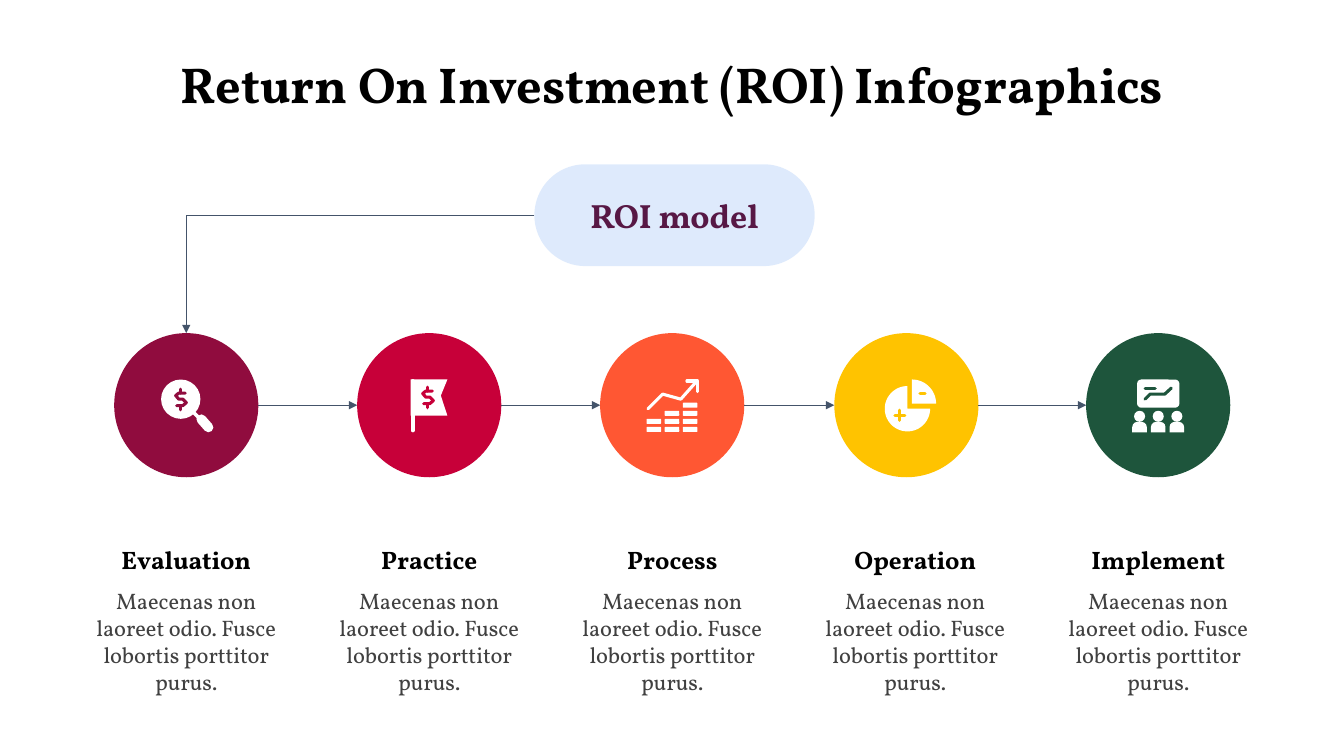
from itertools import pairwise
from math import cos, radians, sin

from lxml.etree import SubElement
from pptx import Presentation
from pptx.dml.color import RGBColor
from pptx.enum.shapes import MSO_CONNECTOR, MSO_SHAPE
from pptx.enum.text import MSO_ANCHOR, PP_ALIGN
from pptx.oxml.ns import qn
from pptx.util import Inches, Pt

BLACK = RGBColor(0x00, 0x00, 0x00)
GREY = RGBColor(0x40, 0x40, 0x40)
WHITE = RGBColor(0xFF, 0xFF, 0xFF)
SLATE = RGBColor(0x44, 0x54, 0x6A)
BLUE = RGBColor(0x03, 0x63, 0xEB)
PLUM = RGBColor(0x57, 0x18, 0x45)
MAROON = RGBColor(0x90, 0x0C, 0x3E)
CRIMSON = RGBColor(0xC7, 0x00, 0x39)
ORANGE = RGBColor(0xFF, 0x57, 0x33)
YELLOW = RGBColor(0xFF, 0xC3, 0x00)
GREEN = RGBColor(0x1E, 0x55, 0x3C)

COLUMNS, ROWS = 1333, 750
DESCRIPTION = "Maecenas non laoreet odio. Fusce lobortis porttitor purus."
CENTRE_ROW, DIAMETER = 402, 143
FIRST_LABEL, LABEL_STEP, LABEL_WIDTH = 85, 241, 199.5
ICON_STROKE = 2.2


class Canvas:
    """Draws on one slide in grid columns and rows, measured from a movable origin."""

    font_name = "Vollkorn"

    def __init__(self, presentation):
        self.slide = presentation.slides.add_slide(presentation.slide_layouts[6])
        self.shapes = self.slide.shapes
        self.column = presentation.slide_width / COLUMNS
        self.row = presentation.slide_height / ROWS
        self.origin = (0, 0)

    def point(self, column, row):
        left, top = self.origin
        return round((left + column) * self.column), round((top + row) * self.row)

    def box(self, left, top, width, height):
        return *self.point(left, top), round(width * self.column), round(height * self.row)

    def text(self, words, box, size, color, bold=False, anchor=MSO_ANCHOR.MIDDLE, inset=0.1):
        frame = self.shapes.add_textbox(*self.box(*box)).text_frame
        frame.word_wrap = True
        frame.vertical_anchor = anchor
        frame.margin_top = frame.margin_bottom = Inches(inset)
        paragraph = frame.paragraphs[0]
        paragraph.text = words
        paragraph.alignment = PP_ALIGN.CENTER
        paragraph.font.name = self.font_name
        paragraph.font.size = Pt(size)
        paragraph.font.bold = bold
        paragraph.font.color.rgb = color

    def fill(self, shape, color):
        shape.shadow.inherit = False
        shape.fill.solid()
        shape.fill.fore_color.rgb = color
        shape.line.fill.background()
        return shape

    def preset(self, kind, box, color, roundness=None):
        shape = self.fill(self.shapes.add_shape(kind, *self.box(*box)), color)
        if roundness is not None:
            shape.adjustments[0] = roundness
        return shape

    def disc(self, column, row, diameter, color):
        box = (column - diameter / 2, row - diameter / 2, diameter, diameter)
        return self.preset(MSO_SHAPE.OVAL, box, color)

    def outline(self, points, closed):
        start, *others = [self.point(*point) for point in points]
        builder = self.shapes.build_freeform(*start)
        builder.add_line_segments(others, close=closed)
        return builder.convert_to_shape()

    def polygon(self, points, color):
        return self.fill(self.outline(points, True), color)

    def sector(self, column, row, radius, start, end, color):
        arc = [(column + radius * cos(radians(angle)), row + radius * sin(radians(angle)))
               for angle in range(start, end + 1, 6)]
        self.polygon([(column, row), *arc], color)

    def polyline(self, points, color, width=ICON_STROKE):
        shape = self.outline(points, False)
        shape.shadow.inherit = False
        shape.fill.background()
        shape.line.color.rgb = color
        shape.line.width = Pt(width)
        shape.line._get_or_add_ln().set("cap", "rnd")

    def line(self, begin, end, color, width=ICON_STROKE, kind=MSO_CONNECTOR.STRAIGHT):
        connector = self.shapes.add_connector(kind, *self.point(*begin), *self.point(*end))
        connector.line.color.rgb = color
        connector.line.width = Pt(width)
        connector.line._get_or_add_ln().set("cap", "rnd")
        SubElement(connector._element.spPr, qn("a:effectLst"))
        return connector

    def arrow(self, begin, end, kind=MSO_CONNECTOR.STRAIGHT):
        connector = self.line(begin, end, SLATE, 0.75, kind)
        line = connector.line._get_or_add_ln()
        line.set("cap", "flat")
        SubElement(line, qn("a:tailEnd"), type="triangle")
        return connector

    def dollar(self, column, row, color):
        curve = [(4.5, -6), (-2, -6), (-5, -3.5), (-2, 0), (2, 0), (5.5, 3.5), (2, 6.5), (-4, 6.5)]
        self.polyline([(column + x, row + y) for x, y in curve], color)
        for top, bottom in ((-10, -6), (6.5, 10.5)):
            self.line((column, row + top), (column, row + bottom), color)


def magnifier(canvas, color):
    canvas.line((6, 6), (14, 14), WHITE, 2.5)
    canvas.line((15, 14), (22, 22), WHITE, 7)
    canvas.disc(-5.5, -6, 39, WHITE)
    canvas.dollar(-5.5, -6, color)


def flag(canvas, color):
    canvas.line((-16.5, -24), (-16.5, 25), WHITE, 2.8)
    canvas.polygon([(-18.5, -25.5), (18, -25.5), (11.5, -9.5), (18, 10.5), (-18.5, 10.5)], WHITE)
    canvas.dollar(-1.5, -8, color)


def growth(canvas, color):
    for stack, height in enumerate((2, 3, 4)):
        for level in range(height):
            box = (-25.5 + 18 * stack, 21.5 - 8 * level, 14.5, 5)
            canvas.preset(MSO_SHAPE.ROUNDED_RECTANGLE, box, WHITE, 0.15)
    canvas.polyline([(-24, 3.5), (-9.5, -11), (8.5, -6), (24.5, -24)], WHITE)
    canvas.polyline([(14.5, -24), (25, -24), (25, -13.5)], WHITE)


def pie(canvas, color):
    canvas.sector(5.5, -1.5, 24, 270, 360, WHITE)
    canvas.sector(1, 3.5, 22.5, 0, 270, WHITE)
    canvas.line((13.5, -12), (18.5, -12), color)
    canvas.line((-11.5, 10), (-1.5, 10), color)
    canvas.line((-6.5, 5), (-6.5, 15), color)


def audience(canvas, color):
    canvas.preset(MSO_SHAPE.ROUNDED_RECTANGLE, (-21, -25.5, 42, 28), WHITE, 0.15)
    canvas.line((-13, -17), (-3, -17), color)
    canvas.polyline([(-13, -6), (-8, -11), (6.5, -11), (13, -17)], color)
    for seat in (-18.5, 0, 18.5):
        canvas.disc(seat, 11, 11, WHITE)
        canvas.preset(MSO_SHAPE.ROUND_2_SAME_RECTANGLE, (seat - 7.25, 16.5, 14.5, 10.5), WHITE, 0.5)


STEPS = [
    ("Evaluation", 184.75, MAROON, magnifier),
    ("Practice", 425.75, CRIMSON, flag),
    ("Process", 666.75, ORANGE, growth),
    ("Operation", 899, YELLOW, pie),
    ("Implement", 1148.75, GREEN, audience),
]


def main():
    presentation = Presentation()
    presentation.slide_width, presentation.slide_height = Inches(13.33), Inches(7.5)
    canvas = Canvas(presentation)
    canvas.text("Return On Investment (ROI) Infographics", (0, 47.5, COLUMNS, 71), 36, BLACK,
                bold=True, anchor=MSO_ANCHOR.TOP, inset=0.05)

    circles = []
    for index, (name, centre, color, icon) in enumerate(STEPS):
        left = FIRST_LABEL + LABEL_STEP * index
        canvas.text(name, (left, 525, LABEL_WIDTH, 59), 18, BLACK, bold=True)
        canvas.text(DESCRIPTION, (left, 585, LABEL_WIDTH, 102), 16, GREY)
        circles.append(canvas.disc(centre, CENTRE_ROW, DIAMETER, color))
    for (_, centre, *_), (_, following, *_) in pairwise(STEPS):
        canvas.arrow((centre + DIAMETER / 2, CENTRE_ROW), (following - DIAMETER / 2, CENTRE_ROW))

    pill = canvas.preset(MSO_SHAPE.ROUNDED_RECTANGLE, (530, 163, 278, 101), BLUE, 0.5)
    SubElement(pill._element.spPr.find(".//" + qn("a:srgbClr")), qn("a:alpha"), val="13000")
    canvas.text("ROI model", (553, 187, 232, 52), 24, PLUM, bold=True)
    elbow = canvas.arrow((530, 213.5), (184.75, 330.5), MSO_CONNECTOR.ELBOW)
    elbow._element.spPr.find(qn("a:prstGeom")).set("prst", "bentConnector2")
    elbow.begin_connect(pill, 1)
    elbow.end_connect(circles[0], 0)

    for _, centre, color, icon in STEPS:
        canvas.origin = (centre, CENTRE_ROW)
        icon(canvas, color)
    presentation.save("out.pptx")


if __name__ == "__main__":
    main()
